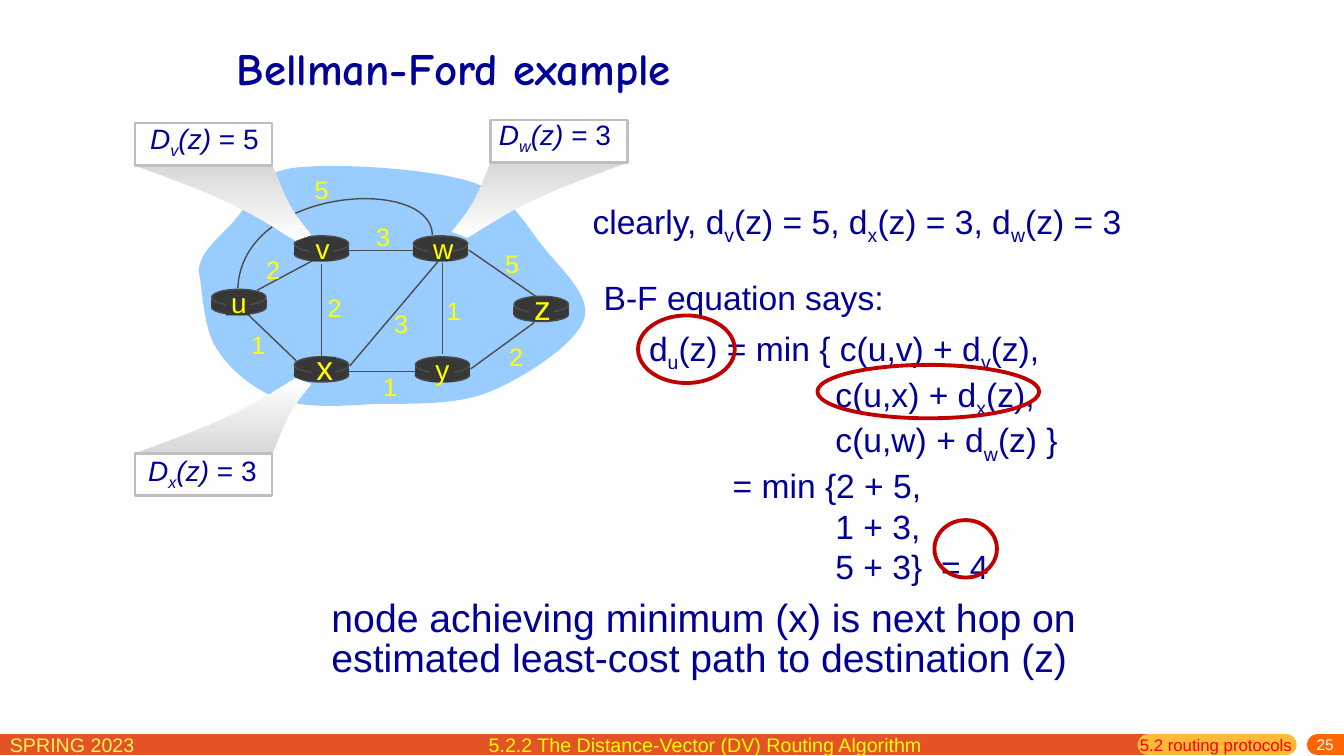
from dataclasses import dataclass
from itertools import groupby

from lxml import etree
from pptx import Presentation
from pptx import util as u
from pptx.dml import color
from pptx.enum import shapes, text
from pptx.oxml import ns


@dataclass(frozen=True)
class Theme:
    font: str = "Arial"
    head: str = "Comic Neue"
    navy: str = "000099"
    yellow: str = "FFFF00"
    lemon: str = "FFF65C"
    white: str = "FFFFFF"
    red: str = "FF0000"
    ring: str = "C00000"
    cloud: str = "99CCFF"
    node: str = "373737"
    edge: str = "4C4C4C"
    frame: str = "BFBFBF"
    shade: str = "D9D9D9"
    rust: str = "E45327"
    amber: str = "FFBA37"
    orange: str = "FF6600"
    title: int = 32
    large: int = 28
    body: int = 24
    name: int = 20
    cost: int = 18
    foot: int = 14
    small: int = 12
    page: int = 11


T = Theme()
MARKS = {"_": "sub", "~": "gap"}
AL = text.PP_ALIGN
KIND = shapes.MSO_SHAPE

ROUTERS = {
    "u": (2.1, 2.87, 2.37, 3.0, T.name), "x": (2.92, 3.54, 3.22, 3.64, T.body),
    "v": (2.92, 2.34, 3.2, 2.46, T.name), "w": (4.1, 2.34, 4.38, 2.46, T.name),
    "y": (4.12, 3.54, 4.39, 3.66, T.name), "z": (5.1, 2.94, 5.38, 3.05, T.body),
}
LINKS = [
    (2.55, 2.88, 3.15, 2.56), (4.39, 2.61, 4.39, 3.51),
    (3.19, 2.62, 3.19, 3.55), (3.47, 3.63, 4.35, 2.59),
    (4.67, 3.66, 5.3, 3.2), (2.94, 3.58, 2.46, 3.12),
    (5.33, 2.95, 4.65, 2.48),
]
COSTS = [
    ("2", 2.54, 2.47), ("2", 3.15, 2.85), ("1", 2.39, 3.22), ("3", 3.81, 3.01),
    ("1", 3.7, 3.63), ("1", 4.33, 2.88), ("2", 4.95, 3.34), ("5", 4.91, 2.41),
    ("3", 3.63, 2.15), ("5", 3.02, 1.68),
]
CLOUD = [(1.97, 2.69),
         (1.98, 2.49, 2.2, 2.34, 2.35, 2.16), (2.5, 1.99, 2.5, 1.73, 2.89, 1.67),
         (3.27, 1.61, 4.24, 1.67, 4.66, 1.8), (5.08, 1.93, 5.2, 2.22, 5.39, 2.45),
         (5.57, 2.68, 5.88, 2.94, 5.79, 3.18), (5.7, 3.42, 5.2, 3.75, 4.85, 3.89),
         (4.5, 4.03, 4.04, 4, 3.69, 4.01), (3.35, 4.03, 3.03, 4.05, 2.78, 3.96),
         (2.52, 3.87, 2.28, 3.67, 2.15, 3.46), (2.01, 3.25, 2.01, 2.85, 1.97, 2.69)]
ARC = [(4.29, 2.33), (4.28, 1.74, 2.4, 1.85, 2.36, 2.86)]
TAIL = [(1.75, 0.69), (1.59, 0.75), (1.13, 0.45, 0.94, 0.34, 0, 0),
        (1.36, 0), (1.5, 0.36, 1.55, 0.46, 1.75, 0.69)]
SUMS = [
    ("d_u(z) = min { c(u,v) + d_v(z),", 0), ("c(u,x) + d_x(z),", 1.85),
    ("c(u,w) + d_w(z) }", 1.85), ("= min {2 + 5,", 0.83),
    ("1 + 3,", 1.85), ("5 + 3}~ = 4", 1.85),
]


def rgb(code):
    return color.RGBColor.from_string(code)


def label(slide, at, paras, size, ink=T.navy, font=T.font, align=AL.LEFT,
          bold=False, slant=0, wrap=False, anchor=text.MSO_ANCHOR.TOP,
          inset=(0.1, 0.05, 0.1, 0.05), space=None):
    frame = slide.shapes.add_textbox(*map(u.Inches, at)).text_frame
    frame.word_wrap = wrap
    frame.auto_size = (text.MSO_AUTO_SIZE.NONE if wrap
                       else text.MSO_AUTO_SIZE.SHAPE_TO_FIT_TEXT)
    frame.vertical_anchor = anchor
    (frame.margin_left, frame.margin_top,
     frame.margin_right, frame.margin_bottom) = map(u.Inches, inset)
    if isinstance(paras, str):
        paras = [(paras, 0)]
    for n, (line, indent) in enumerate(paras):
        para = frame.add_paragraph() if n else frame.paragraphs[0]
        para.alignment = align
        if space:
            para.line_spacing = space
        if indent:
            props = para._p.get_or_add_pPr()
            props.set("marL", str(u.Inches(indent)))
            props.set("indent", "0")
        chars = [(c, MARKS.get(prev), i < slant)
                 for i, (prev, c) in enumerate(zip(" " + line, line))
                 if c not in MARKS]
        for (kind, lean), group in groupby(chars, lambda c: c[1:]):
            run = para.add_run()
            run.text = "".join(c[0] for c in group)
            run.font.name, run.font.size = font, u.Pt(size)
            run.font.bold, run.font.italic = bold, lean
            run.font.color.rgb = rgb(ink)
            if kind == "sub":
                run._r.get_or_add_rPr().set("baseline", "-25000")
            elif kind == "gap":
                run._r.get_or_add_rPr().set("spc", "667")


def paint(shape, fill=None, line=None, width=1):
    shape.shadow.inherit = False
    if fill:
        shape.fill.solid()
        shape.fill.fore_color.rgb = rgb(fill)
    else:
        shape.fill.background()
    if line:
        shape.line.color.rgb = rgb(line)
        shape.line.width = u.Pt(width)
    else:
        shape.line.fill.background()
    return shape


def block(slide, kind, at, fill=None, line=None, width=1):
    shape = slide.shapes.add_shape(kind, *map(u.Inches, at))
    return paint(shape, fill, line, width)


def link(slide, ends, ink=T.edge, width=1, cap=None):
    wire = slide.shapes.add_connector(
        shapes.MSO_CONNECTOR.STRAIGHT, *map(u.Inches, ends))
    wire.line.color.rgb = rgb(ink)
    wire.line.width = u.Pt(width)
    if cap:
        wire.line._get_or_add_ln().set("cap", cap)
    etree.SubElement(wire._element.spPr, ns.qn("a:effectLst"))
    return wire


def outline(slide, steps, close=True, move=lambda dot: dot):
    dots = [tuple(map(u.Inches, move(step[i:i + 2])))
            for step in steps for i in range(0, len(step), 2)]
    form = slide.shapes.build_freeform(*dots[0], scale=1.0)
    form.add_line_segments(dots[1:], close=close)
    shape = form.convert_to_shape()
    trace = shape._element.find(".//" + ns.qn("a:path"))
    lines = iter(trace.findall(ns.qn("a:lnTo")))
    for step in steps[1:]:
        curve = next(lines)
        if len(step) == 6:
            curve.tag = ns.qn("a:cubicBezTo")
            for _ in range(2):
                extra = next(lines)
                curve.append(extra[0])
                trace.remove(extra)
    return shape


def router(slide, x, y):
    block(slide, KIND.OVAL, (x, y + 0.11, 0.54, 0.14), T.node, T.edge)
    for side in (x, x + 0.54):
        link(slide, (side, y + 0.1, side, y + 0.19))
    body = block(slide, KIND.RECTANGLE, (x, y + 0.1, 0.54, 0.09), T.node)
    block(slide, KIND.OVAL, (x, y, 0.54, 0.16), T.node, T.edge)
    return body


def join(slide, left, right):
    wire = link(slide, (0, 0, 1, 1))
    wire.begin_connect(left, 3)
    wire.end_connect(right, 1)


def callout(slide, line, x, y, near, spot, flip=1, turn=1):
    edge = x if flip > 0 else x + 1.36
    tail = paint(outline(slide, TAIL, move=lambda dot: (
        edge + flip * dot[0], near + turn * dot[1])))
    tail.fill.gradient()
    tail.fill.gradient_angle = 90 * turn % 360
    for stop, ink, place in zip(tail.fill.gradient_stops, (T.white, T.shade), (0, 0.98)):
        stop.color.rgb, stop.position = rgb(ink), place
    block(slide, KIND.RECTANGLE, (x, y, 1.36, 0.42), T.white, T.frame, 2)
    label(slide, spot, [(line, 0.14)], T.name, slant=6)


def network(slide):
    paint(outline(slide, CLOUD), T.cloud)
    bodies = {name: router(slide, *spot[:2]) for name, spot in ROUTERS.items()}
    for ends in LINKS:
        link(slide, ends)
    join(slide, bodies["v"], bodies["w"])
    join(slide, bodies["x"], bodies["y"])
    paint(outline(slide, ARC, close=False), line=T.edge)
    for name, (_, _, x, y, size) in ROUTERS.items():
        block(slide, KIND.RECTANGLE, (x - 0.13, y - 0.1, 0.24, 0.23), T.node)
        high = 0.43 if size == T.name else 0.5
        label(slide, (x - 0.18, y - high / 2, 0.36, high), name, size,
              T.yellow, align=AL.CENTER)
    for cost, x, y in COSTS:
        label(slide, (x, y, 0.34, 0.4), cost, T.cost, T.yellow, align=AL.CENTER)


def footer(slide):
    for start, end, ink in ((0, 11.39, T.rust), (11.39, 12.76, T.amber),
                            (13.07, 13.33, T.orange)):
        link(slide, (start, 7.39, end, 7.39), ink, 15, "rnd")
    label(slide, (0, 7.22, 2.29, 0.28), "SPRING 2023", T.foot, T.lemon, wrap=True)
    label(slide, (10.75, 7.32, 2.58, 0.18), "25", T.page, T.white, wrap=True,
          align=AL.RIGHT, anchor=text.MSO_ANCHOR.MIDDLE, inset=(0.1, 0, 0.1, 0.05))
    label(slide, (11.21, 7.24, 1.84, 0.26), "5.2 routing protocols",
          T.small, T.red, wrap=True)
    label(slide, (4.75, 7.22, 4.52, 0.28),
          "5.2.2 The Distance-Vector (DV) Routing Algorithm", T.foot, T.yellow)


def main():
    deck = Presentation()
    deck.slide_width, deck.slide_height = u.Inches(40 / 3), u.Inches(7.5)
    slide = deck.slides.add_slide(deck.slide_layouts[6])
    footer(slide)
    label(slide, (2.25, 0.19, 8.5, 0.96), "Bellman-Ford example", T.title,
          font=T.head, bold=True, wrap=True, anchor=text.MSO_ANCHOR.MIDDLE)
    network(slide)
    label(slide, (5.78, 1.94, 5.52, 0.5),
          "clearly, d_v(z) = 5, d_x(z) = 3, d_w(z) = 3", T.body)
    label(slide, (6.34, 3.2, 4.31, 2.52), SUMS, T.body)
    label(slide, (5.89, 2.7, 2.98, 0.5), "B-F equation says:", T.body)
    callout(slide, "D_v(z) = 5", 1.34, 1.22, 1.64, (1.25, 1.16, 1.43, 0.44))
    callout(slide, "D_w(z) = 3", 4.87, 1.19, 1.61, (4.71, 1.12, 1.48, 0.44), flip=-1)
    callout(slide, "D_x(z) = 3", 1.34, 4.5, 4.5, (1.23, 4.45, 1.45, 0.44), turn=-1)
    label(slide, (3.19, 5.91, 8.15, 0.9),
          "node achieving minimum (x) is next hop on estimated least-cost path "
          "to destination (z)", T.large, wrap=True, space=0.85)
    for at in ((6.33, 3.13, 0.96, 0.67), (9.27, 5.16, 0.62, 0.57),
               (8.11, 3.62, 2.2, 0.53)):
        block(slide, KIND.OVAL, at, line=T.ring, width=2.75)
    deck.save("out.pptx")


if __name__ == "__main__":
    main()
